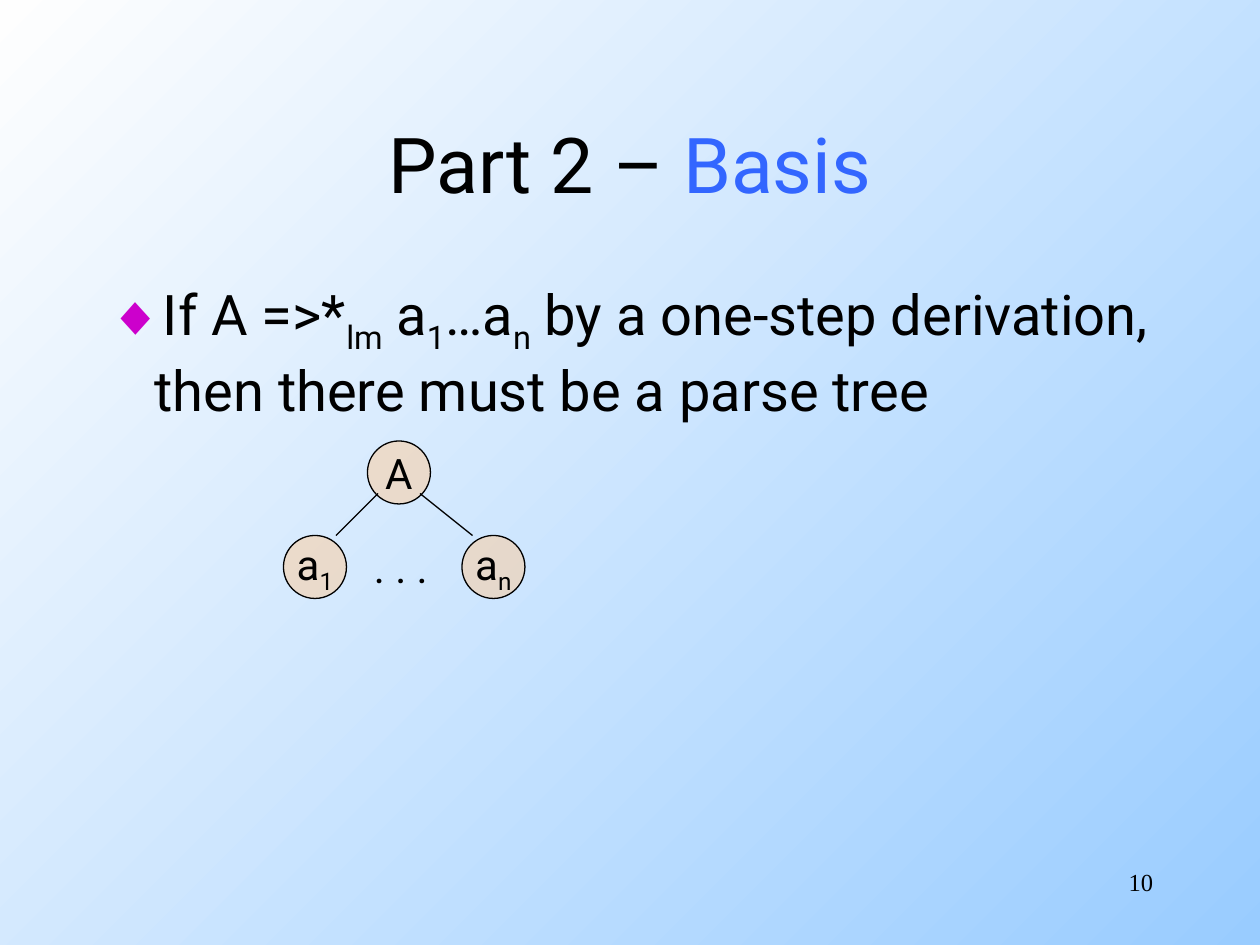
from lxml.etree import SubElement
from pptx import Presentation
from pptx.dml.color import RGBColor
from pptx.enum.shapes import MSO_CONNECTOR as Connector, MSO_SHAPE as Shape
from pptx.enum.text import MSO_ANCHOR as Anchor, MSO_AUTO_SIZE as AutoSize, PP_ALIGN as Align
from pptx.oxml.ns import qn
from pptx.util import Pt

BLACK = RGBColor(0x00, 0x00, 0x00)
BLUE = RGBColor(0x33, 0x66, 0xFF)
PEACH = RGBColor(0xFF, 0xCC, 0x99)
SKY = RGBColor(0x99, 0xCC, 0xFF)
WHITE = RGBColor(0xFE, 0xFE, 0xFE)
BULLET_COLOR = "CC00CC"
FONT = "Roboto"
NODE_SIZE = 36


def paint_background(slide):
    fill = slide.background.fill
    fill.gradient()
    fill.gradient_angle = 135
    for stop, color in zip(fill.gradient_stops, (SKY, WHITE)):
        stop.color.rgb = color


def place(shape, left, top, width, height):
    shape.left, shape.top = Pt(left), Pt(top)
    shape.width, shape.height = Pt(width), Pt(height)


def add_run(paragraph, text, size, color=BLACK, font=FONT):
    run = paragraph.add_run()
    run.text = text
    run.font.size = Pt(size)
    run.font.name = font
    run.font.color.rgb = color
    return run


def add_subscripted(paragraph, parts, size):
    """Add runs in which every second part is a subscript."""
    for index, text in enumerate(parts):
        run = add_run(paragraph, text, size)
        if index % 2:
            run.font._element.set("baseline", "-25000")


def add_bullet(paragraph, character, indent):
    properties = paragraph._p.get_or_add_pPr()
    properties.set("marL", str(Pt(indent)))
    properties.set("indent", str(-Pt(indent)))
    color = SubElement(properties, qn("a:buClr"))
    SubElement(color, qn("a:srgbClr"), val=BULLET_COLOR)
    SubElement(properties, qn("a:buChar"), char=character)


def fill_title(title):
    place(title, 54, 48, 612, 90)
    frame = title.text_frame
    frame.auto_size = AutoSize.NONE
    frame.vertical_anchor = Anchor.MIDDLE
    paragraph = frame.paragraphs[0]
    paragraph.alignment = Align.CENTER
    add_run(paragraph, "Part 2 – ", 44)
    add_run(paragraph, "Basis", 44, BLUE)


def fill_body(body):
    place(body, 54, 156, 612, 324)
    frame = body.text_frame
    frame.auto_size = AutoSize.NONE
    frame.vertical_anchor = Anchor.TOP
    paragraph = frame.paragraphs[0]
    paragraph.space_before = Pt(8)
    add_bullet(paragraph, "◆", 27)
    parts = ("If A =>*", "lm", " a", "1", "…a", "n",
             " by a one-step derivation, then there must be a parse tree")
    add_subscripted(paragraph, parts, 32)


def add_text_box(shapes, text, box, size, font=FONT, align=Align.LEFT, wrap=True):
    text_box = shapes.add_textbox(*map(Pt, box))
    text_box.text_frame.word_wrap = wrap
    paragraph = text_box.text_frame.paragraphs[0]
    paragraph.alignment = align
    add_run(paragraph, text, size, font=font)


def add_node(shapes, left, top, *label):
    node = shapes.add_shape(Shape.OVAL, Pt(left), Pt(top), Pt(NODE_SIZE), Pt(NODE_SIZE))
    node.shadow.inherit = False
    node.fill.solid()
    node.fill.fore_color.rgb = PEACH
    color = node.fill._xPr.find(".//" + qn("a:srgbClr"))
    SubElement(color, qn("a:alpha"), val="50000")
    node.line.color.rgb = BLACK
    node.line.width = Pt(0.75)
    frame = node.text_frame
    frame.word_wrap = False
    frame.vertical_anchor = Anchor.MIDDLE
    paragraph = frame.paragraphs[0]
    paragraph.alignment = Align.CENTER
    add_subscripted(paragraph, label, 24)


def add_branch(shapes, *ends):
    branch = shapes.add_connector(Connector.STRAIGHT, *map(Pt, ends))
    branch.line.color.rgb = BLACK
    branch.line.width = Pt(0.75)
    SubElement(branch._element.spPr, qn("a:effectLst"))


def add_parse_tree(slide):
    shapes = slide.shapes.add_group_shape().shapes
    leaf_top = 306
    add_node(shapes, 210, 252, "A")
    add_node(shapes, 162, leaf_top, "a", "1")
    add_node(shapes, 264, leaf_top, "a", "n")
    add_text_box(shapes, ". . .", (206.5, leaf_top, 46, 36), 24, wrap=False)
    for start, end in ((216, 192), (240, 270)):
        add_branch(shapes, start, 282, end, leaf_top)


def main():
    presentation = Presentation()
    presentation.slide_width, presentation.slide_height = Pt(720), Pt(540)
    slide = presentation.slides.add_slide(presentation.slide_layouts[1])
    paint_background(slide)
    fill_title(slide.shapes.title)
    fill_body(slide.placeholders[1])
    add_parse_tree(slide)
    add_text_box(slide.shapes, "10", (516, 492, 150, 36), 14, "Times New Roman", Align.RIGHT)
    presentation.save("out.pptx")


if __name__ == "__main__":
    main()
